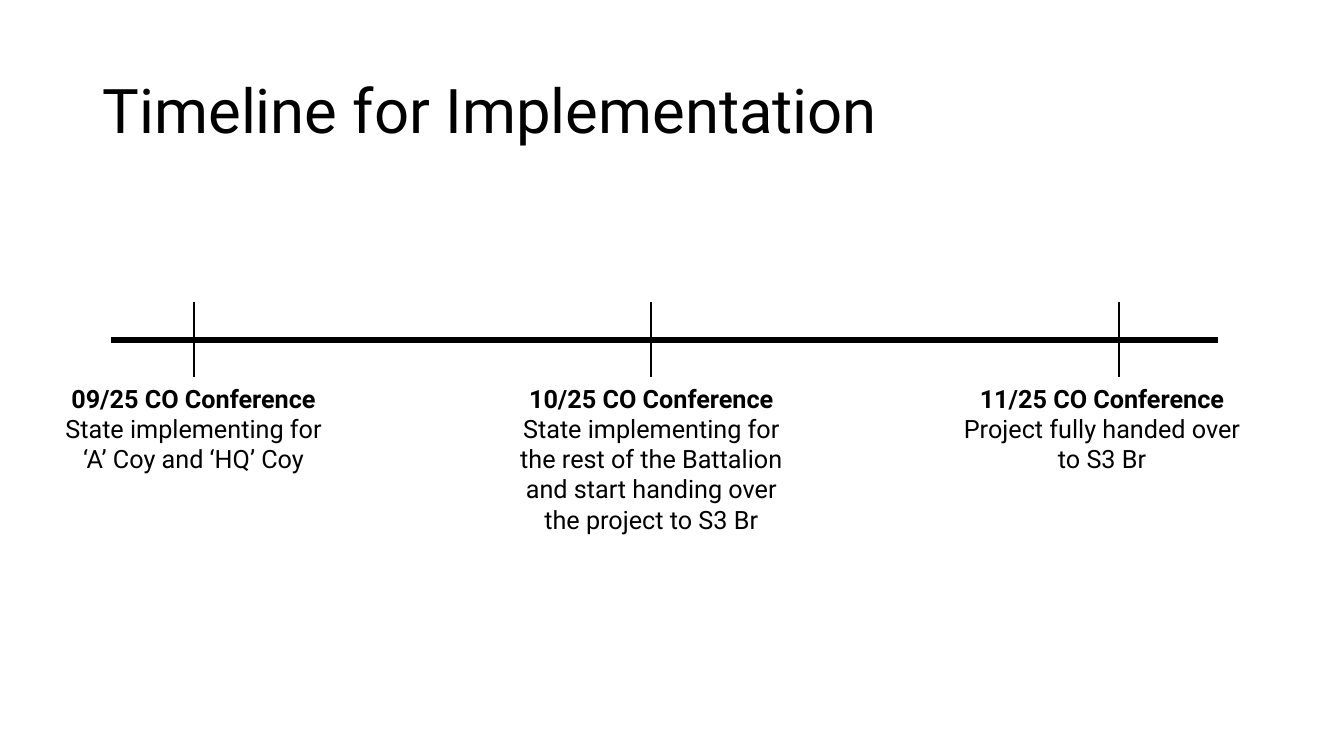
from lxml.etree import SubElement
from pptx import Presentation
from pptx.dml.color import RGBColor
from pptx.enum.shapes import MSO_CONNECTOR
from pptx.enum.text import MSO_ANCHOR, PP_ALIGN
from pptx.oxml.ns import qn
from pptx.util import Inches, Pt

COLORS = {"ink": "000000", "background": "FFFFFF"}
FONT = "Roboto"


def add_text(paragraphs, left, top, width, height, size=18, align=PP_ALIGN.LEFT,
             anchor=MSO_ANCHOR.TOP, line_spacing=1.0):
    """Add a text box; paragraphs is a list of (text, bold) pairs."""
    box = slide.shapes.add_textbox(Inches(left), Inches(top), Inches(width), Inches(height))
    frame = box.text_frame
    frame.word_wrap = True
    frame.vertical_anchor = anchor
    for index, (text, bold) in enumerate(paragraphs):
        paragraph = frame.add_paragraph() if index else frame.paragraphs[0]
        paragraph.alignment = align
        paragraph.line_spacing = line_spacing
        run = paragraph.add_run()
        run.text = text
        run.font.name = FONT
        run.font.size = Pt(size)
        run.font.bold = bold
        run.font.color.rgb = RGBColor.from_string(COLORS["ink"])


def add_line(start_x, start_y, end_x, end_y, weight):
    line = slide.shapes.add_connector(MSO_CONNECTOR.STRAIGHT, Inches(start_x), Inches(start_y),
                                      Inches(end_x), Inches(end_y))
    line.line.color.rgb = RGBColor.from_string(COLORS["ink"])
    line.line.width = Pt(weight)
    SubElement(line._element.spPr, qn("a:effectLst"))


presentation = Presentation()
presentation.slide_width = Inches(13.33)
presentation.slide_height = Inches(7.5)
slide = presentation.slides.add_slide(presentation.slide_layouts[6])
slide.background.fill.solid()
slide.background.fill.fore_color.rgb = RGBColor.from_string(COLORS["background"])

add_text([("Timeline for Implementation", False)], 0.92, 0.4, 11.5, 1.45,
         size=44, anchor=MSO_ANCHOR.MIDDLE, line_spacing=0.9)

axis_y = 3.37
tick_reach = 0.37
add_line(1.1, axis_y, 12.08, axis_y, 4.5)

# Tick position, label left edge, label height, heading, description
milestones = [
    (1.92, 0.43, 1.01, "09/25 CO Conference",
     "State implementing for ‘A’ Coy and ‘HQ’ Coy"),
    (6.46, 4.97, 1.62, "10/25 CO Conference",
     "State implementing for the rest of the Battalion and start handing over "
     "the project to S3 Br"),
    (11.1, 9.44, 1.01, "11/25 CO Conference",
     "Project fully handed over to S3 Br"),
]
for tick_x, label_left, label_height, heading, description in milestones:
    add_line(tick_x, axis_y - tick_reach, tick_x, axis_y + tick_reach, 1.5)
    add_text([(heading, True), (description, False)], label_left, 3.75, 2.98, label_height,
             align=PP_ALIGN.CENTER)

presentation.save("out.pptx")
